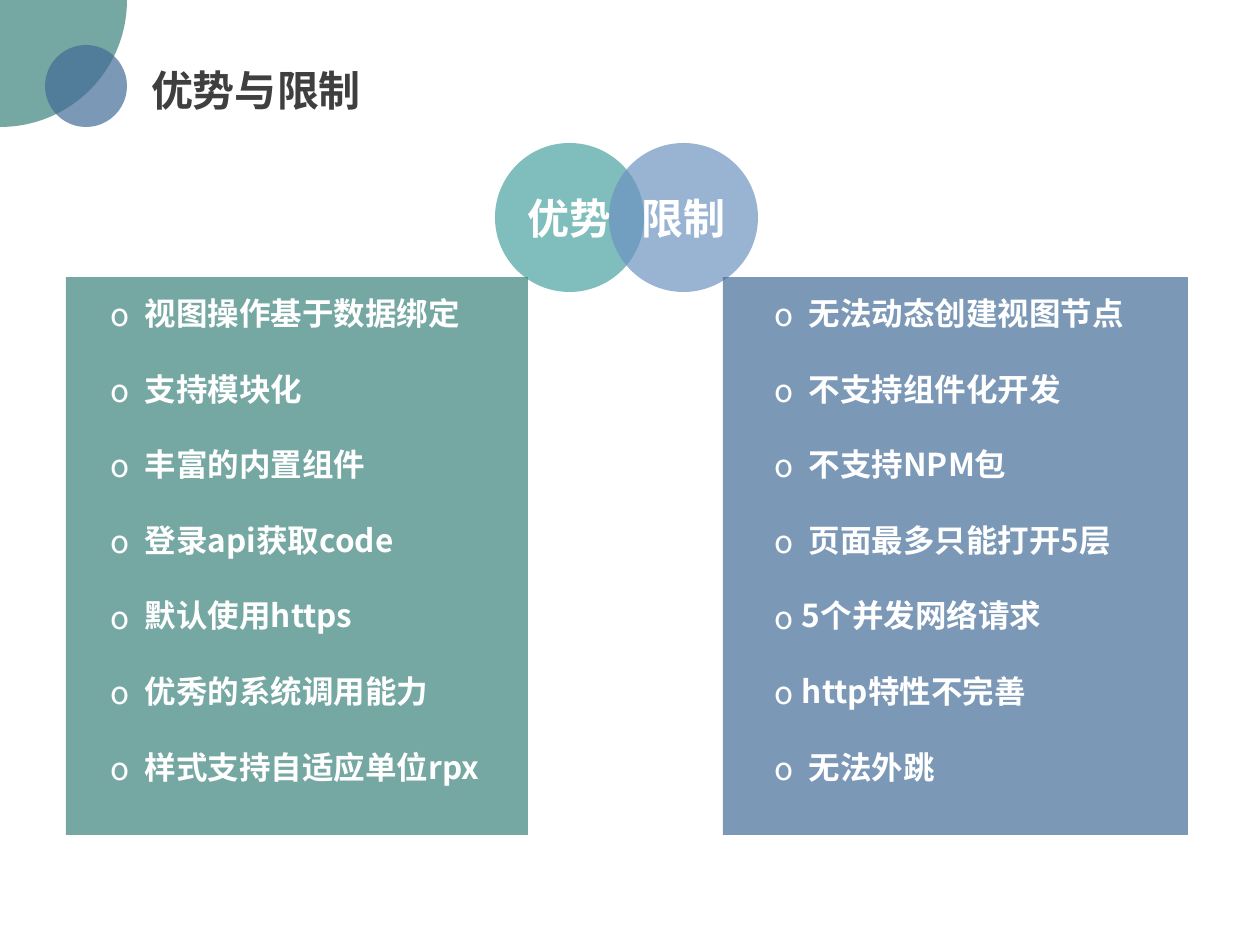
import pptx
import pptx.util
from pptx.dml.color import RGBColor
from pptx.enum.shapes import MSO_SHAPE
from pptx.enum.text import MSO_ANCHOR, PP_ALIGN
from pptx.oxml.ns import qn
from lxml import etree

GREEN = RGBColor(0x39, 0x81, 0x7B)
BLUE = RGBColor(0x41, 0x6B, 0x97)
TEAL = RGBColor(0x48, 0xA2, 0xA0)
SKY = RGBColor(0x6C, 0x92, 0xC0)
DARK = RGBColor(0x3F, 0x3F, 0x3F)
WHITE = RGBColor(0xFF, 0xFF, 0xFF)

ADVANTAGES = [
    "视图操作基于数据绑定",
    "支持模块化",
    "丰富的内置组件",
    "登录api获取code",
    "默认使用https",
    "优秀的系统调用能力",
    "样式支持自适应单位rpx",
]
LIMITS = [
    "无法动态创建视图节点",
    "不支持组件化开发",
    "不支持NPM包",
    "页面最多只能打开5层",
    "5个并发网络请求",
    "http特性不完善",
    "无法外跳",
]


def px(length):
    return pptx.util.Emu(round(length * 914400 / 126))


class SlideBuilder:
    font_name = "Noto Sans CJK SC"
    opacity = 69
    heading_size = 24
    item_size = 18
    line_height = pptx.util.Pt(21.6)

    def __init__(self, page):
        self.page = page

    def style(self, para, size, color):
        font = para.font
        font.name, font.size, font.bold = self.font_name, pptx.util.Pt(size), True
        font.color.rgb = color
        east_asian = etree.SubElement(font._element, qn("a:ea"))
        east_asian.set("typeface", self.font_name)

    def set_frame(self, frame, wrap, anchor, left=0, top=0):
        frame.word_wrap = wrap
        frame.vertical_anchor = anchor
        frame.margin_left, frame.margin_top = px(left), px(top)
        frame.margin_right = frame.margin_bottom = 0

    def shape(self, kind, left, top, width, height, color):
        """Add a translucent shape without outline or shadow."""
        shape = self.page.shapes.add_shape(
            kind, px(left), px(top), px(width), px(height))
        shape.shadow.inherit = False
        shape.line.fill.background()
        shape.fill.solid()
        shape.fill.fore_color.rgb = color
        tint = shape.fill._xPr.find(qn("a:solidFill"))[0]
        etree.SubElement(tint, qn("a:alpha")).set("val", str(self.opacity * 1000))
        return shape

    def circle(self, left, top, size, color, label=None):
        shape = self.shape(MSO_SHAPE.OVAL, left, top, size, size, color)
        if label:
            self.set_frame(shape.text_frame, False, MSO_ANCHOR.MIDDLE)
            para = shape.text_frame.paragraphs[0]
            para.text = label
            para.alignment = PP_ALIGN.CENTER
            self.style(para, self.heading_size, WHITE)

    def title(self, left, top, width, height, text):
        box = self.page.shapes.add_textbox(px(left), px(top), px(width), px(height))
        self.set_frame(box.text_frame, False, MSO_ANCHOR.MIDDLE, left=12)
        para = box.text_frame.paragraphs[0]
        para.text = text
        self.style(para, self.heading_size, DARK)

    def bullet(self, para, hang):
        properties = para._p.get_or_add_pPr()
        properties.set("marL", str(px(hang)))
        properties.set("indent", str(-px(hang)))
        face = etree.Element(qn("a:buFont"), typeface=self.font_name)
        mark = etree.Element(qn("a:buChar"), char="o")
        position = list(properties).index(properties.find(qn("a:defRPr")))
        properties.insert(position, face)
        properties.insert(position + 1, mark)

    def panel(self, left, top, width, height, color, items, indent):
        shape = self.shape(MSO_SHAPE.RECTANGLE, left, top, width, height, color)
        frame = shape.text_frame
        self.set_frame(frame, True, MSO_ANCHOR.TOP, left=indent, top=17)
        for index, item in enumerate(items):
            para = frame.add_paragraph() if index else frame.paragraphs[0]
            para.text = item
            para.alignment = PP_ALIGN.LEFT
            para.line_spacing = self.line_height
            para.space_after = self.line_height
            self.style(para, self.item_size, WHITE)
            # Latin text sits closer to its bullet than Chinese text
            self.bullet(para, 27 if item[0].isascii() else 34)


def main():
    deck = pptx.Presentation()
    deck.slide_width, deck.slide_height = px(1260), px(945)
    builder = SlideBuilder(deck.slides.add_slide(deck.slide_layouts[6]))

    builder.circle(-126, -126, 253, GREEN)
    builder.circle(45, 45, 82, BLUE)
    builder.title(139, 56, 236, 67, "优势与限制")
    builder.circle(495, 143, 149, TEAL, "优势")
    builder.circle(609, 143, 149, SKY, "限制")
    builder.panel(66, 277, 462, 558, GREEN, ADVANTAGES, 45)
    builder.panel(723, 277, 465, 558, BLUE, LIMITS, 52)

    deck.save("out.pptx")


if __name__ == "__main__":
    main()
